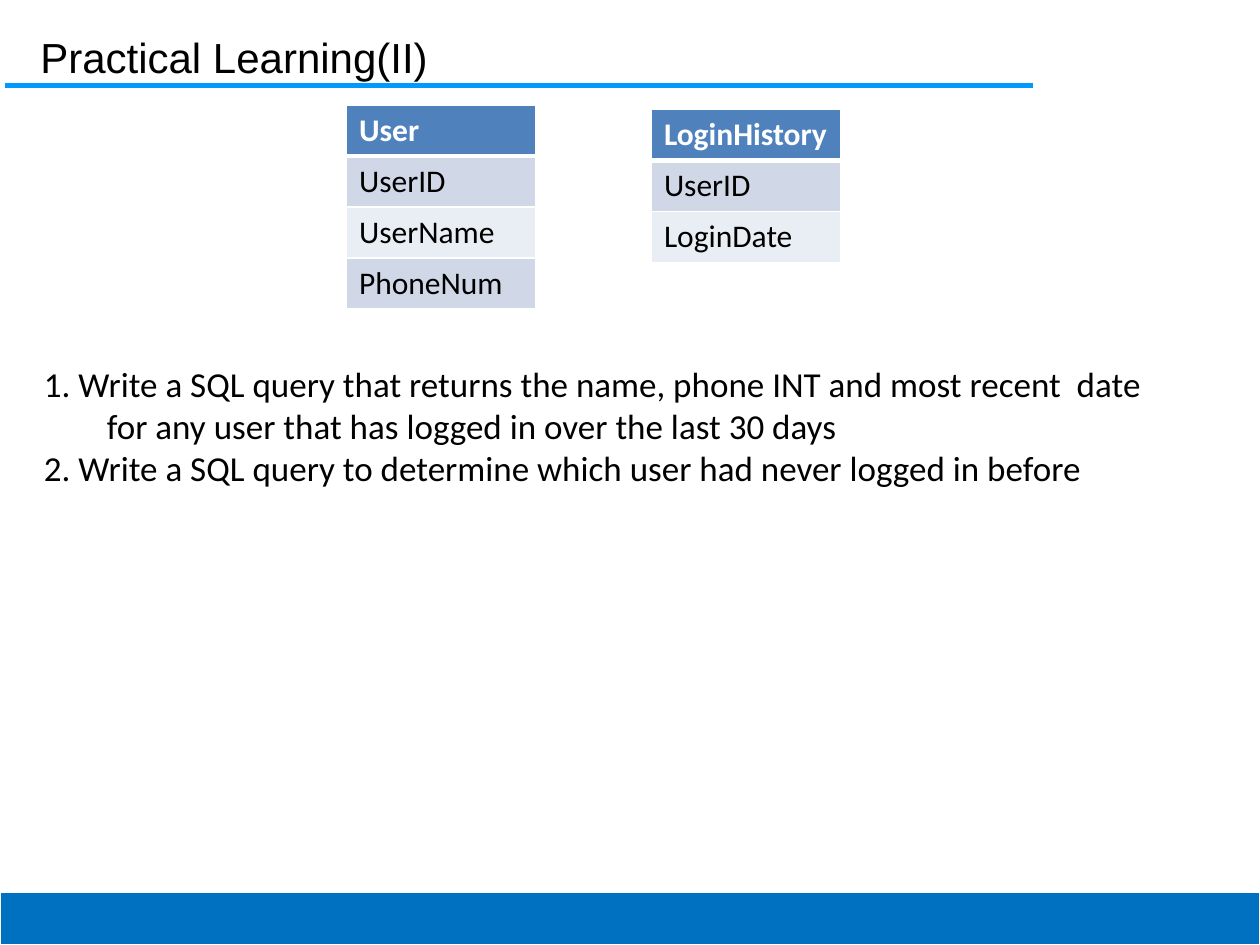
from lxml import etree
from pptx import Presentation, util as u
from pptx.dml.color import RGBColor
from pptx.enum import shapes, text
from pptx.oxml.ns import qn

W, H = u.Inches(10), u.Inches(7.5)
ROW_H = u.Inches(0.405)
COLORS = {"rule": "0099FF", "footer": "0070C0", "head": "4F81BD", "odd": "D0D8E8",
          "even": "E9EDF4", "white": "FFFFFF", "black": "000000"}
TITLE = {"name": "Arial", "size": u.Pt(24)}
BODY = {"name": "Calibri", "size": u.Pt(20)}
CELL = {"name": "Calibri", "size": u.Pt(18), "bold": False}
HEAD = {**CELL, "bold": True}
TABLES = [
    (0.275, 0.111, ["User", "UserID", "UserName", "PhoneNum"]),
    (0.517, 0.116, ["LoginHistory", "UserID", "LoginDate"]),
]
TASKS = [
    "1. Write a SQL query that returns the name, phone INT and most recent  date "
    "for any user that has logged in over the last 30 days",
    "2. Write a SQL query to determine which user had never logged in before",
]


def rgb(name):
    """Return the named colour."""
    return RGBColor.from_string(COLORS[name])


def box(x, y, w, h):
    """Turn shares of the slide into left, top, width and height."""
    return [round(v) for v in (x * W, y * H, w * W, h * H)]


def write(p, content, fmt, color="black"):
    """Put one formatted run into a paragraph."""
    r = p.add_run()
    r.text = content
    for key, value in fmt.items():
        setattr(r.font, key, value)
    r.font.color.rgb = rgb(color)


def add_text(s, place, lines, fmt, **frame):
    """Add a wrapped text box with a paragraph per line."""
    tf = s.shapes.add_textbox(*box(*place)).text_frame
    for key, value in {"word_wrap": True, **frame}.items():
        setattr(tf, key, value)
    for i, line in enumerate(lines):
        p = tf.add_paragraph() if i else tf.paragraphs[0]
        write(p, line, fmt)
    return tf


def add_rule(s, x1, x2, y):
    """Add the horizontal line under the title."""
    x, top, w, _ = box(x1, y, x2 - x1, 0)
    sp = s.shapes.add_connector(shapes.MSO_CONNECTOR.STRAIGHT, x, top, x + w, top)
    sp.line.color.rgb = rgb("rule")
    sp.line.width = u.Pt(2.89)
    etree.SubElement(sp._element.spPr, qn("a:effectLst"))


def add_footer(s, place):
    """Add the coloured band at the bottom."""
    sp = s.shapes.add_shape(shapes.MSO_SHAPE.RECTANGLE, *box(*place))
    sp.shadow.inherit = False
    sp.fill.solid()
    sp.fill.fore_color.rgb = rgb("footer")
    sp.line.color.rgb = rgb("white")
    sp.line.width = u.Pt(0.75)


def add_borders(cell, widths):
    """Give a cell white borders of the given widths by side."""
    props = cell._tc.get_or_add_tcPr()
    for side, width in widths.items():
        ln = etree.SubElement(props, qn(f"a:ln{side}"), w=str(u.Pt(width)))
        fill = etree.SubElement(ln, qn("a:solidFill"))
        etree.SubElement(fill, qn("a:srgbClr"), val=COLORS["white"])


def add_schema(s, x, y, names):
    """Add a one-column table: a heading over its field names."""
    left, top, w, _ = box(x, y, 0.15, 0)
    table = s.shapes.add_table(len(names), 1, left, top, w, ROW_H * len(names)).table
    for i, name in enumerate(names):
        cell = table.cell(i, 0)
        add_borders(cell, {"L": 1, "R": 1, "T": 3 if i == 1 else 1, "B": 1 if i else 3})
        cell.fill.solid()
        cell.fill.fore_color.rgb = rgb("head" if i == 0 else "odd" if i % 2 else "even")
        write(cell.text_frame.paragraphs[0], name,
              CELL if i else HEAD, "black" if i else "white")


def main():
    """Build and save the slide."""
    prs = Presentation()
    prs.slide_width, prs.slide_height = W, H
    s = prs.slides.add_slide(prs.slide_layouts[6])
    add_rule(s, 0.004, 0.82, 0.091)
    add_text(s, (0.023, 0.023, 0.797, 0.053), ["Practical Learning(II)"], TITLE,
             margin_left=u.Inches(0.09), margin_top=u.Inches(0.08),
             margin_bottom=u.Inches(0.04))
    add_footer(s, (0, 0.944, 1, 0.056))
    for x, y, names in TABLES:
        add_schema(s, x, y, names)
    tf = add_text(s, (0.025, 0.377, 0.925, 0.148), TASKS, BODY,
                  auto_size=text.MSO_AUTO_SIZE.SHAPE_TO_FIT_TEXT)
    for p in tf.paragraphs:
        props = p._p.get_or_add_pPr()
        props.set("marL", str(u.Inches(0.5)))
        props.set("indent", str(u.Inches(-0.5)))
    prs.save("out.pptx")


if __name__ == "__main__":
    main()
